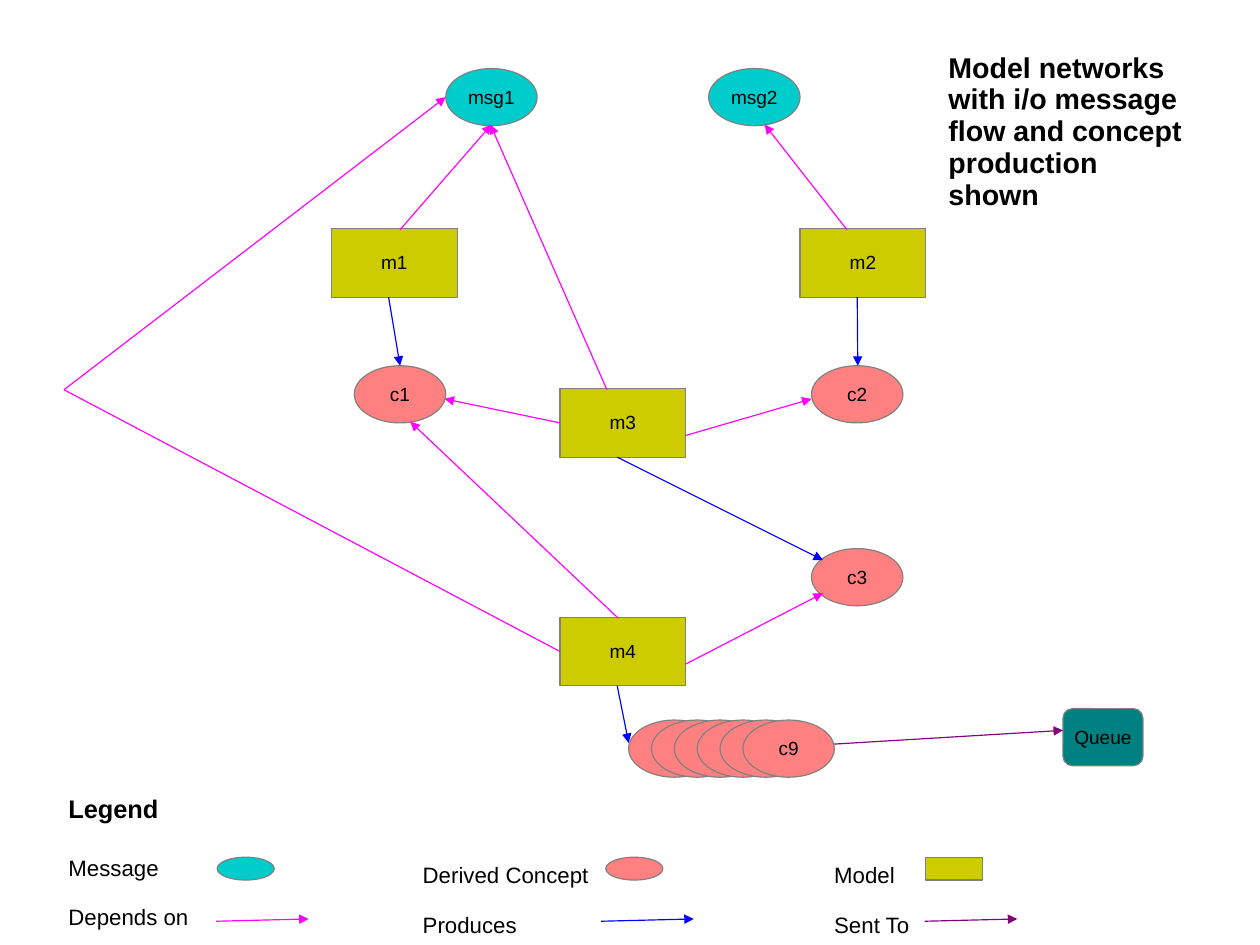
from lxml.etree import SubElement
from pptx import Presentation
from pptx.dml.color import RGBColor
from pptx.enum.shapes import MSO_CONNECTOR, MSO_SHAPE
from pptx.enum.text import MSO_ANCHOR, PP_ALIGN
from pptx.oxml.ns import qn
from pptx.util import Cm, Inches, Pt

COLORS = {
    "message": "00CCCC",
    "concept": "FF8080",
    "model": "CCCC00",
    "queue": "008080",
    "outline": "808080",
    "text": "000000",
    "depends": "FF00FF",
    "produces": "0000FF",
    "sent": "800080",
}
OUTLINES = {
    "message": MSO_SHAPE.OVAL,
    "concept": MSO_SHAPE.OVAL,
    "model": MSO_SHAPE.RECTANGLE,
    "queue": MSO_SHAPE.FLOWCHART_ALTERNATE_PROCESS,
}
NODE_SIZES = {"message": (8, 5), "concept": (8, 5), "model": (11, 6), "queue": (7, 5)}
KEY_SIZE = (5, 2)
LEFT_SIDE = 1

NODES = [
    ("model", "m2", 70, 20),
    ("model", "m1", 29, 20),
    ("message", "msg2", 62, 6),
    ("message", "msg1", 39, 6),
    ("model", "m3", 49, 34),
    ("concept", "c1", 31, 32),
    ("concept", "c2", 71, 32),
    ("model", "m4", 49, 54),
    ("concept", "c3", 71, 48),
    ("queue", "Queue", 93, 62),
]
ARROWS = [
    ("depends", (35, 20.1), (43, 10.9)),
    ("depends", (74.1, 20.1), (66.9, 10.9)),
    ("depends", (53.1, 34.1), (42.9, 10.9)),
    ("depends", (60, 38.1), (71, 34.9)),
    ("depends", (54.1, 54.1), (35.9, 36.9)),
    ("depends", (60, 58.1), (72, 51.9)),
    ("depends", (5.6, 34.1), (39, 8.5)),
    ("produces", (34, 26), (35, 32)),
    ("produces", (75, 26), (75.05, 32)),
    ("produces", (54, 40), (72, 49)),
    ("produces", (54, 60), (55, 65)),
    ("sent", (73, 65.1), (93, 63.9)),
]
LEGEND = [
    ("message", 19, "depends", 18.9),
    ("concept", 53, "produces", 52.6),
    ("model", 81, "sent", 80.9),
]


def grid(count):
    return Inches(count / 10)


def color(name):
    return RGBColor.from_string(COLORS[name])


def set_insets(frame):
    frame.margin_left = frame.margin_right = Inches(0.1)
    frame.margin_top = Inches(0.06)
    frame.margin_bottom = Inches(0.05)


def write_paragraph(paragraph, text, size, bold=False):
    paragraph.text = text
    paragraph.line_spacing = 0.93
    paragraph.font.name = "Arial"
    paragraph.font.size = Pt(size)
    paragraph.font.bold = bold
    paragraph.font.color.rgb = color("text")


def add_node(slide, kind, left, top, label="", size=None):
    width, height = size or NODE_SIZES[kind]
    shape = slide.shapes.add_shape(
        OUTLINES[kind], grid(left), grid(top), grid(width), grid(height))
    shape.shadow.inherit = False
    shape.fill.solid()
    shape.fill.fore_color.rgb = color(kind)
    shape.line.color.rgb = color("outline")
    shape.line.width = Pt(0.75)
    if label:
        frame = shape.text_frame
        frame.word_wrap = False
        frame.vertical_anchor = MSO_ANCHOR.MIDDLE
        set_insets(frame)
        write_paragraph(frame.paragraphs[0], label, 12)
        frame.paragraphs[0].alignment = PP_ALIGN.CENTER
    return shape


def add_link(slide, kind, start, end, arrow=True):
    connector = slide.shapes.add_connector(
        MSO_CONNECTOR.STRAIGHT, *map(grid, start + end))
    connector.line.color.rgb = color(kind)
    connector.line.width = Pt(0.75)
    properties = connector.line._get_or_add_ln()
    if arrow:
        SubElement(properties, qn("a:tailEnd"), type="triangle")
    SubElement(properties.getparent(), qn("a:effectLst"))
    return connector


def add_text(slide, left, top, width, height, lines):
    box = slide.shapes.add_textbox(grid(left), grid(top), grid(width), grid(height))
    frame = box.text_frame
    frame.word_wrap = True
    set_insets(frame)
    for index, (text, size, bold, gap) in enumerate(lines):
        paragraph = frame.add_paragraph() if index else frame.paragraphs[0]
        if gap:
            paragraph.space_before = Pt(gap)
        write_paragraph(paragraph, text, size, bold)


def add_network(slide):
    nodes = {label: add_node(slide, kind, left, top, label)
             for kind, label, left, top in NODES}
    for left in range(55, 66, 2):
        add_node(slide, "concept", left, 63, "c9" if left == 65 else "")
    for kind, start, end in ARROWS:
        add_link(slide, kind, start, end)
    to_concept = add_link(slide, "depends", (49, 37), (38.9, 34.9))
    to_concept.begin_connect(nodes["m3"], LEFT_SIDE)
    to_corner = add_link(slide, "depends", (49, 57), (5.6, 34.1), arrow=False)
    to_corner.begin_connect(nodes["m4"], LEFT_SIDE)


def add_legend(slide):
    add_text(slide, 5, 69, 25, 10.6, [
        ("Legend", 16, True, 0),
        ("Message", 14, False, 20.5),
        ("Depends on", 14, False, 15.5),
    ])
    for left, width, name, link in [
        (36, 17, "Derived Concept", "Produces"),
        (72, 12, "Model", "Sent To"),
    ]:
        add_text(slide, left, 75, width, 6,
                 [(name, 14, False, 0), (link, 14, False, 15.5)])
    for kind, left, link, start in LEGEND:
        add_node(slide, kind, left, 75, size=KEY_SIZE)
        add_link(slide, link, (start, 80.6), (start + 8.1, 80.4))


def main():
    presentation = Presentation()
    presentation.slide_width = Cm(28)
    presentation.slide_height = Cm(21)
    slide = presentation.slides.add_slide(presentation.slide_layouts[6])
    add_network(slide)
    add_legend(slide)
    add_text(slide, 82, 4, 23, 16, [
        ("Model networks with i/o message flow and concept production shown",
         18, True, 0),
    ])
    presentation.save("out.pptx")


if __name__ == "__main__":
    main()
